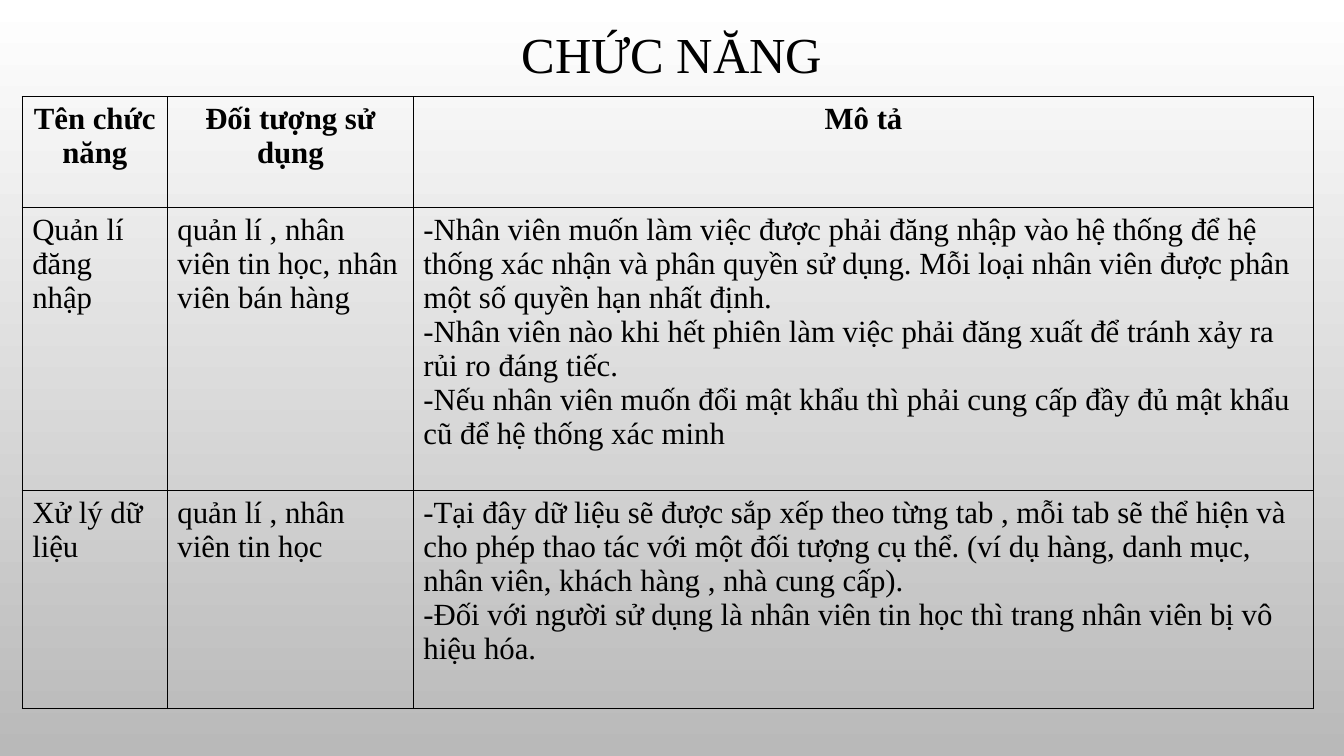
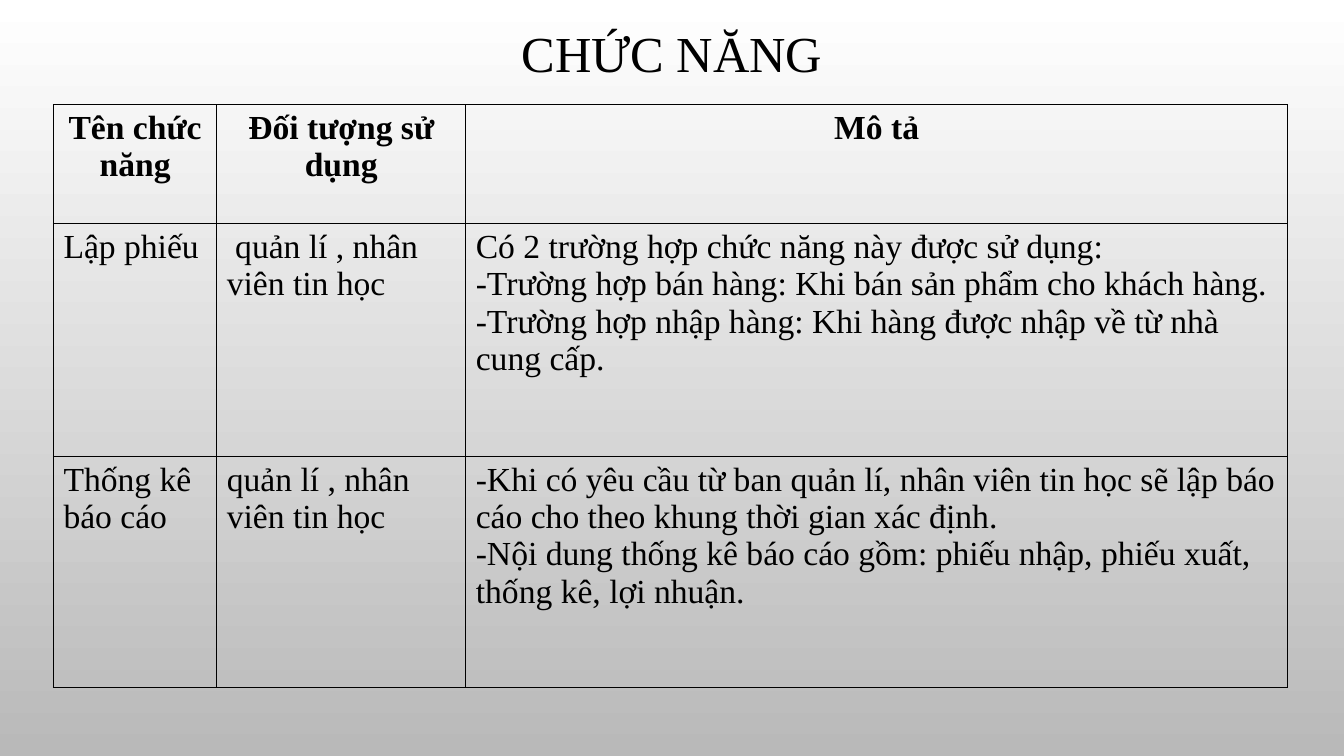
from dataclasses import dataclass

from lxml.etree import SubElement
from pptx import Presentation
from pptx.dml.color import RGBColor
from pptx.enum.text import MSO_ANCHOR, PP_ALIGN
from pptx.oxml.ns import qn
from pptx.util import Inches, Pt


@dataclass(frozen=True)
class Theme:
    """Colours, font and type sizes shared by the slides."""
    ink: str = "000000"
    top: str = "FFFFFF"
    bottom: str = "B9B9B9"
    font: str = "Times New Roman"
    title_size: int = 36
    border: int = 1


THEME = Theme()
TITLE = "CHỨC NĂNG"
HEADER = ("Tên chức năng", "Đối tượng sử dụng", "Mô tả")

SLIDES = [
    dict(
        title_box=(1, 0.18, 11.33, 0.78), origin=(0.22, 0.96), size=22,
        cols=(1.44, 2.44, 8.93), heights=(1.1, 2.81, 2.16),
        rows=[
            ("Quản lí đăng nhập",
             "quản lí , nhân viên tin học, nhân viên bán hàng",
             "-Nhân viên muốn làm việc được phải đăng nhập vào hệ thống để hệ thống "
             "xác nhận và phân quyền sử dụng. Mỗi loại nhân viên được phân một số "
             "quyền hạn nhất định.\n"
             "-Nhân viên nào khi hết phiên làm việc phải đăng xuất để tránh xảy ra "
             "rủi ro đáng tiếc.\n"
             "-Nếu nhân viên muốn đổi mật khẩu thì phải cung cấp đầy đủ mật khẩu cũ "
             "để hệ thống xác minh"),
            ("Xử lý dữ liệu",
             "quản lí , nhân viên tin học",
             "-Tại đây dữ liệu sẽ được sắp xếp theo từng tab , mỗi tab sẽ thể hiện và "
             "cho phép thao tác với một đối tượng cụ thể. (ví dụ hàng, danh mục, "
             "nhân viên, khách hàng , nhà cung cấp).\n"
             "-Đối với người sử dụng là nhân viên tin học thì trang nhân viên bị vô "
             "hiệu hóa. "),
        ],
    ),
    dict(
        title_box=(1, 0.08, 11.33, 0.96), origin=(0.53, 1.04), size=24,
        cols=(1.62, 2.47, 8.15), heights=(1.18, 2.31, 2.29),
        rows=[
            ("Lập phiếu",
             " quản lí , nhân viên tin học",
             "Có 2 trường hợp chức năng này được sử dụng:\n"
             "-Trường hợp bán hàng: Khi bán sản phẩm cho khách hàng.\n"
             "-Trường hợp nhập hàng: Khi hàng được nhập về từ nhà cung cấp."),
            ("Thống kê báo cáo",
             "quản lí , nhân viên tin học",
             "-Khi có yêu cầu từ ban quản lí, nhân viên tin học sẽ lập báo cáo cho "
             "theo khung thời gian xác định.\n"
             "-Nội dung thống kê báo cáo gồm: phiếu nhập, phiếu xuất, thống kê, "
             "lợi nhuận."),
        ],
    ),
]


def set_background(master):
    """Give every slide the vertical gradient through the master."""
    fill = master.background.fill
    fill.gradient()
    fill.gradient_angle = 270
    for stop, color in zip(fill.gradient_stops, (THEME.top, THEME.bottom)):
        stop.color.rgb = RGBColor.from_string(color)


def style(p, size, align, bold=False):
    """Set the font and alignment of a paragraph."""
    p.alignment = align
    p.font.name = THEME.font
    p.font.size = Pt(size)
    p.font.bold = bold
    p.font.color.rgb = RGBColor.from_string(THEME.ink)


def add_title(s, box):
    """Place the centred slide title in its box."""
    tf = s.shapes.add_textbox(*map(Inches, box)).text_frame
    tf.word_wrap = True
    tf.vertical_anchor = MSO_ANCHOR.MIDDLE
    tf.text = TITLE
    p = tf.paragraphs[0]
    p.line_spacing = 0.9
    style(p, THEME.title_size, PP_ALIGN.CENTER)


def set_borders(cell):
    """Draw a solid line on all four sides of a cell."""
    props = cell._tc.get_or_add_tcPr()
    for side in ("lnL", "lnR", "lnT", "lnB"):
        ln = SubElement(props, qn(f"a:{side}"), w=str(Pt(THEME.border)))
        SubElement(SubElement(ln, qn("a:solidFill")), qn("a:srgbClr"), val=THEME.ink)


def add_function_table(s, origin, cols, heights, rows, size):
    """Place the table of functions with its header at the origin."""
    box = (*origin, sum(cols), sum(heights))
    table = s.shapes.add_table(len(heights), len(cols), *map(Inches, box)).table
    table.first_row = table.horz_banding = False
    for column, width in zip(table.columns, cols):
        column.width = Inches(width)
    for i, (height, texts) in enumerate(zip(heights, [HEADER, *rows])):
        table.rows[i].height = Inches(height)
        align = PP_ALIGN.LEFT if i else PP_ALIGN.CENTER
        for j, text in enumerate(texts):
            cell = table.cell(i, j)
            set_borders(cell)
            cell.fill.background()
            cell.text_frame.text = text
            for p in cell.text_frame.paragraphs:
                style(p, size, align, bold=i == 0)


def add_function_slide(prs, title_box, **table):
    """Add one slide with a title above a table of functions."""
    s = prs.slides.add_slide(prs.slide_layouts[6])
    add_title(s, title_box)
    add_function_table(s, **table)


def main():
    """Build and save the presentation."""
    prs = Presentation()
    prs.slide_width, prs.slide_height = Inches(13.33), Inches(7.5)
    set_background(prs.slide_master)
    for content in SLIDES:
        add_function_slide(prs, **content)
    prs.save("out.pptx")


main()
